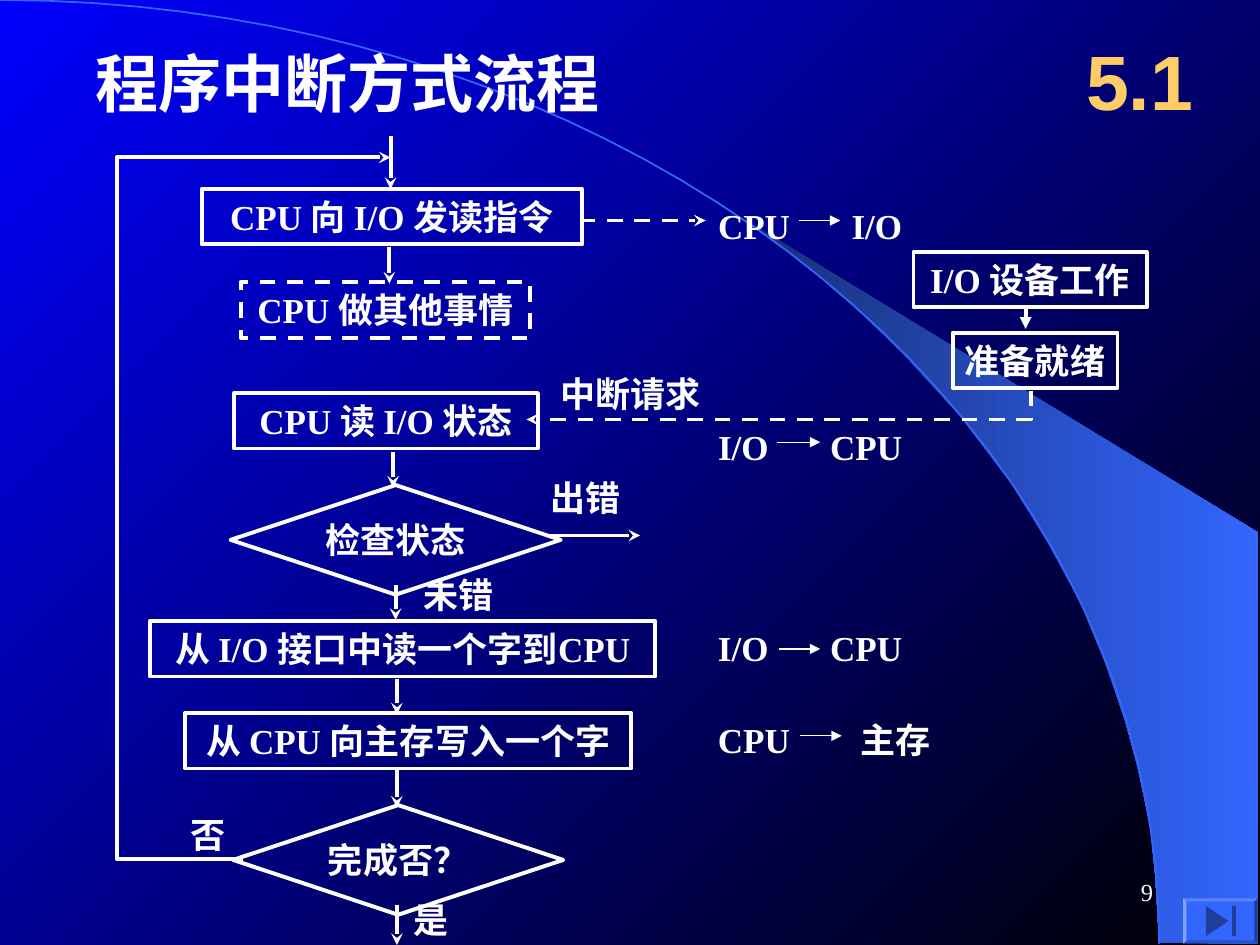
"""Build a slide with the flowchart of program interrupt input."""
from dataclasses import dataclass
from math import cos, pi, sin

from lxml.etree import SubElement
from pptx import Presentation
from pptx.dml.color import RGBColor
from pptx.enum.dml import MSO_LINE_DASH_STYLE as Dash
from pptx.enum.shapes import MSO_CONNECTOR as Connector, MSO_SHAPE as Shape
from pptx.enum.text import MSO_ANCHOR as Anchor, MSO_AUTO_SIZE as AutoSize, PP_ALIGN as Align
from pptx.oxml.ns import qn
from pptx.util import Inches, Pt


@dataclass(frozen=True)
class Theme:
    white: RGBColor = RGBColor.from_string("FFFFFF")
    gold: RGBColor = RGBColor.from_string("FFCC66")
    accent: RGBColor = RGBColor.from_string("3366FF")
    accent_dark: RGBColor = RGBColor.from_string("182F76")
    icon: RGBColor = RGBColor.from_string("1F3D99")
    sky: RGBColor = RGBColor.from_string("0000FF")
    night: RGBColor = RGBColor.from_string("000000")
    serif: str = "Times New Roman"
    sans: str = "Arial"
    title: Pt = Pt(36)
    chapter: Pt = Pt(44)
    body: Pt = Pt(20)
    number: Pt = Pt(14)
    thick: Pt = Pt(2.25)
    thin: Pt = Pt(0.75)
    hairline: Pt = Pt(1)


theme = Theme()


def write_text(shape, text, align=Align.CENTER, size=theme.body, bold=True,
               color=theme.white, font=theme.serif, tab=None):
    frame = shape.text_frame
    frame.word_wrap = False
    frame.auto_size = AutoSize.NONE
    frame.vertical_anchor = Anchor.MIDDLE
    paragraph = frame.paragraphs[0]
    paragraph.alignment = align
    if tab:
        tabs = SubElement(paragraph._p.get_or_add_pPr(), qn("a:tabLst"))
        SubElement(tabs, qn("a:tab"), pos=str(Inches(tab)), algn="l")
    run = paragraph.add_run()
    run.text = text
    run.font.size = size
    run.font.bold = bold
    run.font.name = font
    run.font.color.rgb = color


def draw_line(shape, width=theme.thick, color=theme.white, dashed=False, head=None):
    shape.line.width = width
    shape.line.color.rgb = color
    if dashed:
        shape.line.dash_style = Dash.DASH
    properties = shape.element.spPr
    if head:
        SubElement(properties.find(qn("a:ln")), qn("a:tailEnd"), type=head)
    SubElement(properties, qn("a:effectLst"))


presentation = Presentation()
presentation.slide_width = Inches(10)
presentation.slide_height = Inches(7.5)
slide = presentation.slides.add_slide(presentation.slide_layouts[5])
shapes = slide.shapes

arc = [(9.2 * sin(step * pi / 80), 7.49 * (1 - cos(step * pi / 80))) for step in range(41)]
beam = [(9.2, 7.48), (9.99, 7.49), (9.99, 4.23), (5.89, 1.73), (6.24, 1.99), (6.53, 2.22),
        (6.85, 2.5), (7.16, 2.8), (7.62, 3.3), (8.03, 3.84), (8.32, 4.31), (8.58, 4.79),
        (8.78, 5.28), (8.93, 5.72), (9.03, 6.09), (9.13, 6.56), (9.17, 6.96)]
loop_back = [(1.93, 6.82), (0.93, 6.82), (0.93, 1.25), (3.1, 1.25)]
interrupt_request = [(8.18, 3.1), (8.18, 3.33), (4.18, 3.33)]
play_icon = [(9.75, 7.31), (9.57, 7.43), (9.57, 7.19)]
outlines = {}
for name, points, closed in [("beam", beam, True), ("arc", arc, False),
                             ("loop", loop_back, False),
                             ("request", interrupt_request, False)]:
    corners = [(Inches(x), Inches(y)) for x, y in points]
    builder = shapes.build_freeform(*corners[0])
    builder.add_line_segments(corners[1:], close=closed)
    outlines[name] = builder.convert_to_shape()

for fill, angle, colors in [
    (slide.background.fill, 315, (theme.sky, theme.night)),
    (outlines["beam"].fill, 0, (theme.accent_dark, theme.accent)),
]:
    fill.gradient()
    fill.gradient_angle = angle
    for stop, color in zip(fill.gradient_stops, colors):
        stop.color.rgb = color
outlines["beam"].line.fill.background()
outlines["beam"].shadow.inherit = False
for name in ("arc", "loop", "request"):
    outlines[name].fill.background()
draw_line(outlines["arc"], theme.hairline, theme.accent)
draw_line(outlines["loop"], head="stealth")
draw_line(outlines["request"], dashed=True, head="stealth")

title = shapes.title
title.left, title.top, title.width, title.height = map(Inches, (0.66, 0.3, 5, 0.7))
write_text(title, "程序中断方式流程", Align.LEFT, theme.title)
title.element.getparent().append(title.element)

for kind, text, left, top, width, height, dashed in [
    (Shape.RECTANGLE, "CPU 向 I/O 发读指令", 1.6, 1.5, 3.02, 0.44, False),
    (Shape.RECTANGLE, "CPU 做其他事情", 1.91, 2.24, 2.3, 0.44, True),
    (Shape.RECTANGLE, "CPU 读 I/O 状态", 1.86, 3.12, 2.41, 0.44, False),
    (Shape.DIAMOND, "检查状态", 1.83, 3.85, 2.62, 0.87, False),
    (Shape.RECTANGLE, "从 I/O 接口中读一个字到CPU", 1.19, 4.93, 4.01, 0.44, False),
    (Shape.RECTANGLE, "从 CPU 向主存写入一个字", 1.47, 5.66, 3.54, 0.44, False),
    (Shape.DIAMOND, "完成否？", 1.85, 6.39, 2.62, 0.87, False),
    (Shape.RECTANGLE, "I/O 设备工作", 7.25, 2, 1.85, 0.44, False),
    (Shape.RECTANGLE, "准备就绪", 7.56, 2.64, 1.31, 0.44, False),
]:
    step = shapes.add_shape(kind, *map(Inches, (left, top, width, height)))
    step.fill.background()
    draw_line(step, dashed=dashed)
    write_text(step, text)

for start_x, start_y, end_x, end_y, width, dashed, head in [
    (3.1, 1.08, 3.1, 1.5, theme.thick, False, "stealth"),
    (3.09, 1.96, 3.09, 2.25, theme.thick, False, "stealth"),
    (3.12, 3.59, 3.12, 3.87, theme.thick, False, "stealth"),
    (3.14, 4.64, 3.14, 4.92, theme.thick, False, "stealth"),
    (3.15, 5.39, 3.15, 5.67, theme.thick, False, "stealth"),
    (3.15, 6.11, 3.15, 6.41, theme.thick, False, "stealth"),
    (3.15, 7.18, 3.15, 7.5, theme.thick, False, "stealth"),
    (4.33, 4.25, 5.08, 4.25, theme.thick, False, "stealth"),
    (4.6, 1.75, 5.6, 1.75, theme.thick, True, "stealth"),
    (8.14, 2.44, 8.14, 2.61, theme.thick, False, "triangle"),
    (6.34, 1.75, 6.67, 1.75, theme.thin, False, "triangle"),
    (6.17, 3.51, 6.51, 3.51, theme.thin, False, "triangle"),
    (6.18, 5.15, 6.51, 5.15, theme.thin, False, "triangle"),
    (6.35, 5.84, 6.68, 5.84, theme.thin, False, "triangle"),
]:
    arrow = shapes.add_connector(Connector.STRAIGHT,
                                 *map(Inches, (start_x, start_y, end_x, end_y)))
    draw_line(arrow, width, dashed=dashed, head=head)

for text, left, top, width, tab in [
    ("CPU\tI/O", 5.6, 1.57, 1.91, 1.06),
    ("I/O\tCPU", 5.6, 3.32, 1.91, 0.89),
    ("I/O\tCPU", 5.6, 4.92, 1.66, 0.89),
    ("CPU\t主存", 5.6, 5.65, 2.33, 1.13),
    ("中断请求", 4.35, 2.9, 1.31, None),
    ("出错", 4.27, 3.73, 0.75, None),
    ("未错", 3.26, 4.5, 1.25, None),
    ("否", 1.41, 6.4, 0.48, None),
    ("是", 3.18, 7.08, 0.48, None),
]:
    label = shapes.add_textbox(*map(Inches, (left, top, width, 0.44)))
    write_text(label, text, Align.LEFT, tab=tab)

chapter = shapes.add_textbox(*map(Inches, (8.42, 0.17, 1.25, 0.92)))
write_text(chapter, "5.1", size=theme.chapter, color=theme.gold, font=theme.sans)
page_number = shapes.add_textbox(*map(Inches, (7.17, 6.83, 2.08, 0.5)))
write_text(page_number, "9", Align.RIGHT, theme.number, bold=False)

button = shapes.add_shape(Shape.BEVEL, *map(Inches, (9.39, 7.13, 0.59, 0.36)))
button.adjustments[0] = 0.07
icon_corners = [(Inches(x), Inches(y)) for x, y in play_icon]
icon_builder = shapes.build_freeform(*icon_corners[0])
icon_builder.add_line_segments(icon_corners[1:])
triangle = icon_builder.convert_to_shape()
bar = shapes.add_shape(Shape.RECTANGLE, *map(Inches, (9.78, 7.19, 0.03, 0.24)))
for part, color in [(button, theme.accent), (triangle, theme.icon), (bar, theme.icon)]:
    part.fill.solid()
    part.fill.fore_color.rgb = color
    part.line.fill.background()
    part.shadow.inherit = False

presentation.save("out.pptx")
